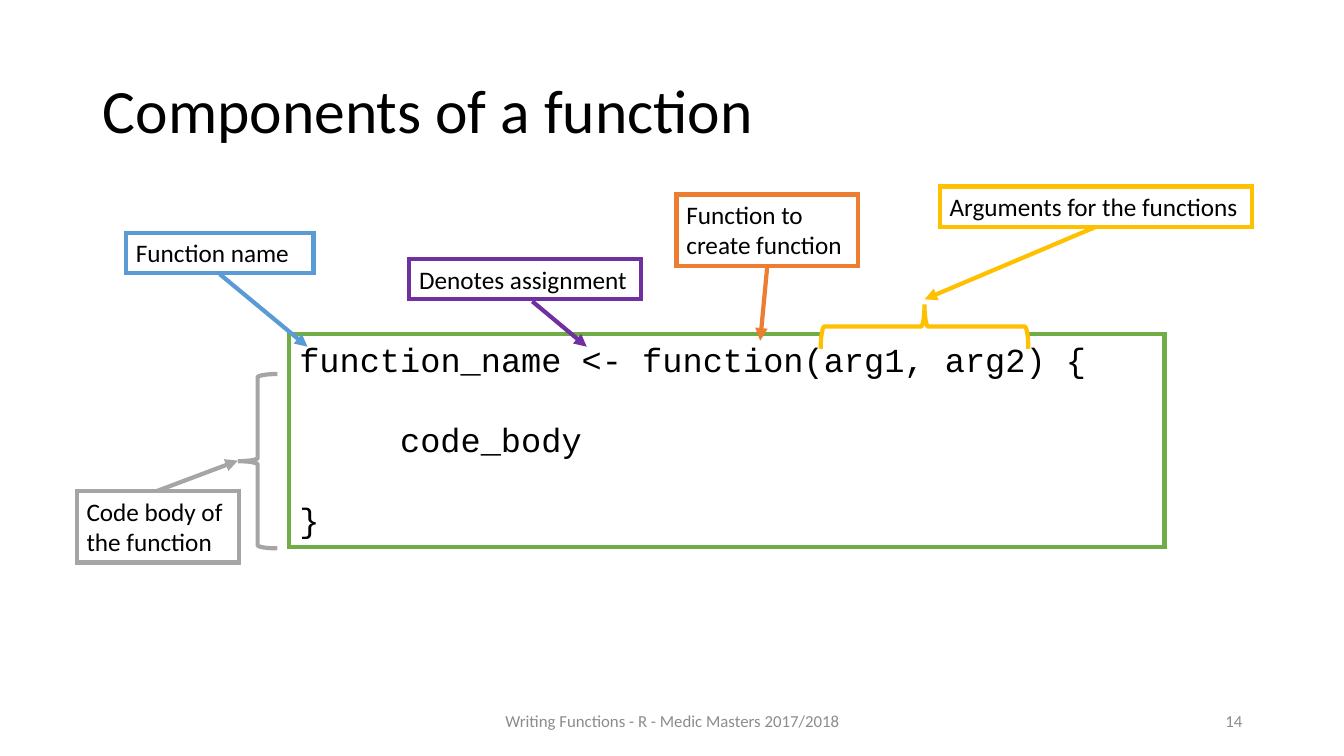
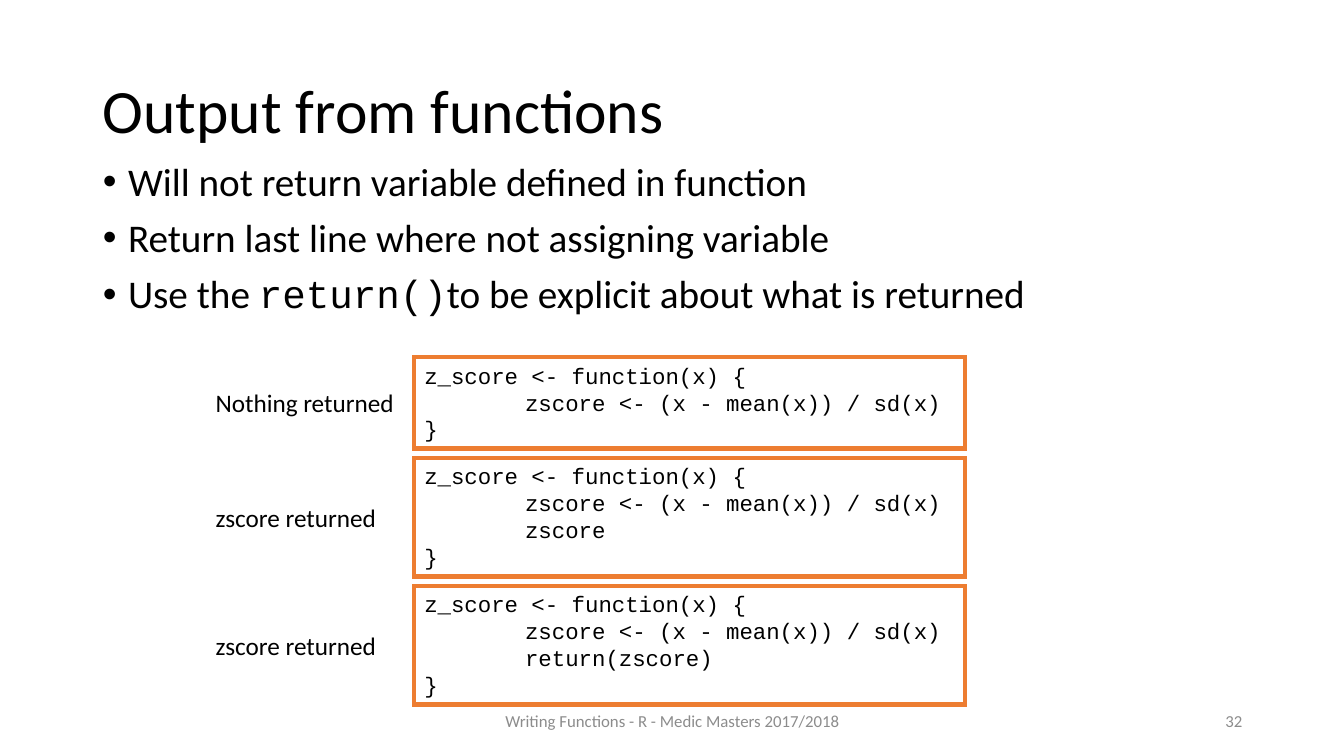
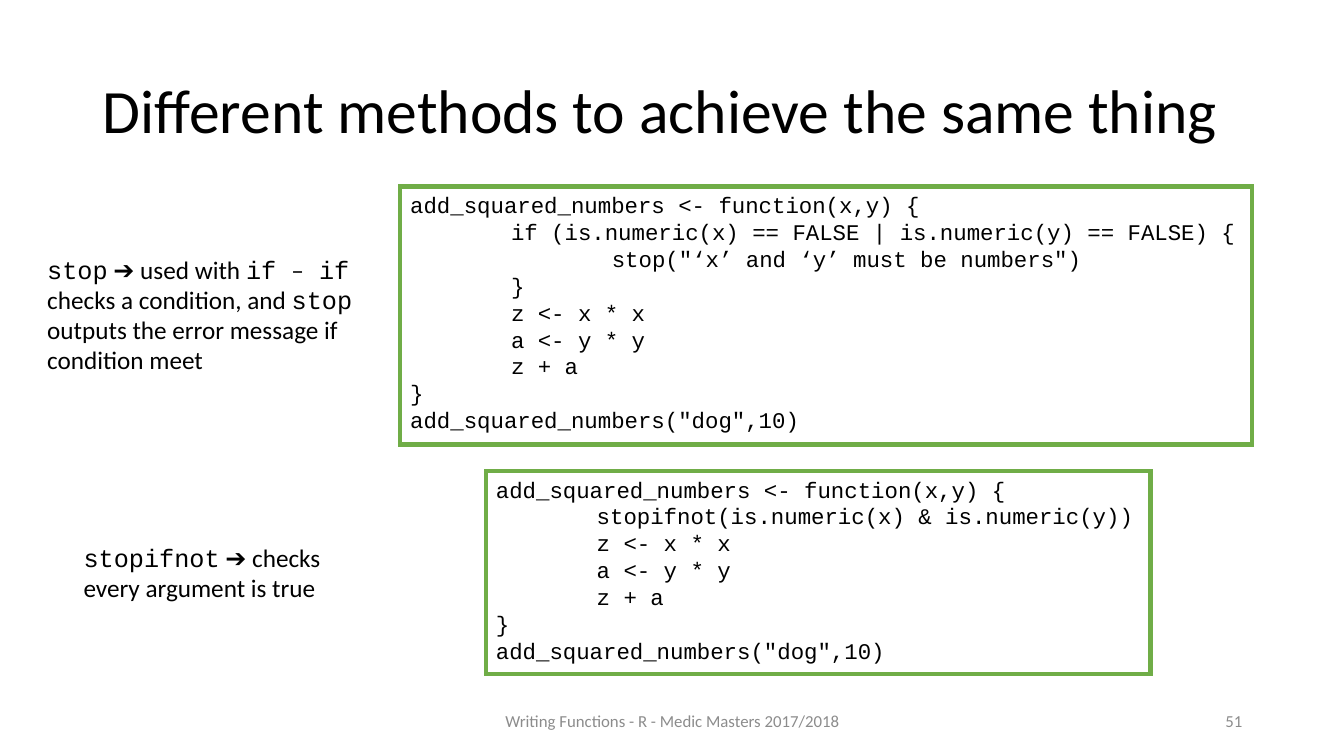
from lxml.etree import SubElement
from pptx import Presentation
from pptx.dml.color import RGBColor
from pptx.enum.shapes import MSO_CONNECTOR, MSO_SHAPE
from pptx.enum.text import MSO_ANCHOR, MSO_AUTO_SIZE, PP_ALIGN
from pptx.oxml.ns import qn
from pptx.util import Inches, Pt

BLACK, WHITE, FOOTER_GRAY = "000000", "FFFFFF", "8C8C8C"
GREEN, BLUE, ORANGE = "70AD47", "5B9BD5", "ED7D31"
YELLOW, GRAY, PURPLE = "FFC000", "A5A5A5", "7030A0"
TEXT_FONT, CODE_FONT = "Calibri", "Courier New"
LINE_WIDTH = Pt(3)
TAB_STOPS = (1, 2)

TITLE_BOX = (0.92, 0.4, 11.5, 1.45)
FOOTER_BOX = (4.42, 6.95, 4.5, 0.4)
NUMBER_BOX = (9.42, 6.95, 3, 0.4)
FOOTER = "Writing Functions - R - Medic Masters 2017/2018"
TITLE_ONLY, TITLE_AND_CONTENT = 5, 1

# Text between backticks is set in the code font.
TEMPLATE_BOX = (2.87, 3.31, 8.68, 2.12)
TEMPLATE_CODE = ["function_name <- function(arg1, arg2) {", "\tcode_body", "}"]
# left, top, width, height, rotation, colour
BRACES = [
    (8.95, 2.21, 0.44, 2.06, 270, YELLOW),
    (2.36, 3.71, 0.39, 1.73, 180, GRAY),
]
# text, box, arrow start, arrow end, colour
CALLOUTS = [
    ("Function name", (1.25, 2.31, 1.86, 0.4), (2.18, 2.72), (3.05, 3.44), BLUE),
    ("Function to create function", (6.71, 1.93, 1.8, 0.71), (7.61, 2.64), (7.54, 3.38), ORANGE),
    ("Arguments for the functions", (9.32, 1.85, 3.1, 0.4), (10.87, 2.25), (9.17, 2.97), YELLOW),
    ("Code body of the function", (0.76, 4.87, 1.61, 0.71), (1.56, 4.87), (2.36, 4.57), GRAY),
    ("Denotes assignment", (4.06, 2.57, 2.3, 0.4), (5.28, 2.99), (5.82, 3.44), PURPLE),
]

OUTPUT_BULLETS = [
    "Will not return variable defined in function",
    "Return last line where not assigning variable",
    "Use the `return()`to be explicit about what is returned",
]
Z_SCORE_START = ["z_score <- function(x) {", "\tzscore <- (x - mean(x)) / sd(x)"]
# label, lines that follow the assignment
Z_SCORE_VERSIONS = [
    ("Nothing returned", []),
    ("zscore returned", ["\tzscore"]),
    ("zscore returned", ["\treturn(zscore)"]),
]

ADD_START = "add_squared_numbers <- function(x,y) {"
ADD_END = ["\tz <- x * x", "\ta <- y * y", "\tz + a", "}", 'add_squared_numbers("dog",10)']
# code box, checking lines, note box, note
METHODS = [
    (
        (3.97, 1.85, 8.45, 2.56),
        ["\tif (is.numeric(x) == FALSE | is.numeric(y) == FALSE) {",
         '\t\tstop("‘x’ and ‘y’ must be numbers")',
         "\t}"],
        (0.37, 2.47, 3.42, 1.31),
        "`stop` ➔ used with `if `–` if `checks a condition, and `stop`"
        " outputs the error message if condition meet",
    ),
    (
        (4.82, 4.67, 6.59, 2.02),
        ["\tstopifnot(is.numeric(x) & is.numeric(y))"],
        (0.73, 5.33, 2.69, 0.71),
        "`stopifnot` ➔ checks every argument is true",
    ),
]


def color(value):
    return RGBColor.from_string(value)


def inches(values):
    return [Inches(value) for value in values]


def place(shape, box):
    shape.left, shape.top, shape.width, shape.height = inches(box)


def outline(shape, line_color):
    """Give a shape a white fill and a coloured line with sharp corners."""
    shape.fill.solid()
    shape.fill.fore_color.rgb = color(WHITE)
    shape.line.color.rgb = color(line_color)
    shape.line.width = LINE_WIDTH
    SubElement(shape._element.spPr.find(qn("a:ln")), qn("a:miter"), lim="800000")


def write(shape, lines, size, text_color=BLACK, align=PP_ALIGN.LEFT, anchor=MSO_ANCHOR.TOP):
    """Fill a shape with one paragraph per line and return the paragraphs."""
    frame = shape.text_frame
    frame.word_wrap = True
    frame.auto_size = MSO_AUTO_SIZE.NONE
    frame.vertical_anchor = anchor
    for index, line in enumerate(lines):
        paragraph = frame.add_paragraph() if index else frame.paragraphs[0]
        paragraph.alignment = align
        for part, text in enumerate(line.split("`")):
            if text:
                run = paragraph.add_run()
                run.text = text
                run.font.name = CODE_FONT if part % 2 else TEXT_FONT
                run.font.size = Pt(size)
                run.font.color.rgb = color(text_color)
    return frame.paragraphs


def add_text(slide, box, lines, size=18, line_color=None, **style):
    shape = slide.shapes.add_textbox(*inches(box))
    if line_color:
        outline(shape, line_color)
    return write(shape, lines, size, **style)


def add_code(slide, box, lines, line_color, size=16):
    paragraphs = add_text(slide, box, [f"`{line}`" for line in lines], size, line_color)
    for paragraph in paragraphs:
        tabs = SubElement(paragraph._p.get_or_add_pPr(), qn("a:tabLst"))
        for stop in TAB_STOPS:
            SubElement(tabs, qn("a:tab"), pos=str(Inches(stop)), algn="l")
    return paragraphs


def add_arrow(slide, start, end, line_color):
    arrow = slide.shapes.add_connector(MSO_CONNECTOR.STRAIGHT, *inches(start + end))
    arrow.line.color.rgb = color(line_color)
    arrow.line.width = LINE_WIDTH
    properties = arrow._element.spPr
    SubElement(properties.find(qn("a:ln")), qn("a:tailEnd"), type="triangle")
    SubElement(properties, qn("a:effectLst"))


def add_slide(presentation, title, number, layout=TITLE_ONLY):
    """Add a slide with the shared title, footer and slide number."""
    slide = presentation.slides.add_slide(presentation.slide_layouts[layout])
    place(slide.shapes.title, TITLE_BOX)
    paragraphs = write(slide.shapes.title, [title], 44, anchor=MSO_ANCHOR.MIDDLE)
    paragraphs[0].line_spacing = 0.9
    for box, text, align in [
        (FOOTER_BOX, FOOTER, PP_ALIGN.CENTER),
        (NUMBER_BOX, str(number), PP_ALIGN.RIGHT),
    ]:
        add_text(slide, box, [text], 12, text_color=FOOTER_GRAY,
                 align=align, anchor=MSO_ANCHOR.MIDDLE)
    return slide


def build_components(presentation):
    slide = add_slide(presentation, "Components of a function", 14)
    for paragraph in add_code(slide, TEMPLATE_BOX, TEMPLATE_CODE, GREEN, 24)[1:]:
        paragraph.space_before = Pt(28.5)
    for *box, rotation, line_color in BRACES:
        brace = slide.shapes.add_shape(MSO_SHAPE.RIGHT_BRACE, *inches(box))
        brace.rotation = rotation
        outline(brace, line_color)
        brace.shadow.inherit = False
    for text, box, start, end, line_color in CALLOUTS:
        add_text(slide, box, [text], line_color=line_color)
        add_arrow(slide, start, end, line_color)


def build_output(presentation):
    slide = add_slide(presentation, "Output from functions", 32, TITLE_AND_CONTENT)
    body = slide.placeholders[1]
    place(body, (0.92, 1.56, 11.5, 5.2))
    for paragraph in write(body, OUTPUT_BULLETS, 28):
        paragraph.line_spacing = 0.9
        paragraph.space_before = Pt(10)
        properties = paragraph._p.get_or_add_pPr()
        properties.set("marL", str(Inches(0.25)))
        properties.set("indent", str(Inches(-0.25)))
    top, gap, line_height, label_height = 3.54, 0.09, 0.27, 0.4
    for label, ending in Z_SCORE_VERSIONS:
        lines = Z_SCORE_START + ending + ["}"]
        height = 0.1 + line_height * len(lines)
        add_code(slide, (4.11, top, 5.46, height), lines, ORANGE)
        label_top = top + (height - label_height) / 2
        add_text(slide, (2.04, label_top, 2.72, label_height), [label])
        top += height + gap


def build_methods(presentation):
    slide = add_slide(presentation, "Different methods to achieve the same thing", 51)
    for code_box, checks, note_box, note in METHODS:
        add_code(slide, code_box, [ADD_START] + checks + ADD_END, GREEN)
        add_text(slide, note_box, [note])


def main():
    presentation = Presentation()
    presentation.slide_width, presentation.slide_height = inches((13.33, 7.5))
    build_components(presentation)
    build_output(presentation)
    build_methods(presentation)
    presentation.save("out.pptx")


if __name__ == "__main__":
    main()
